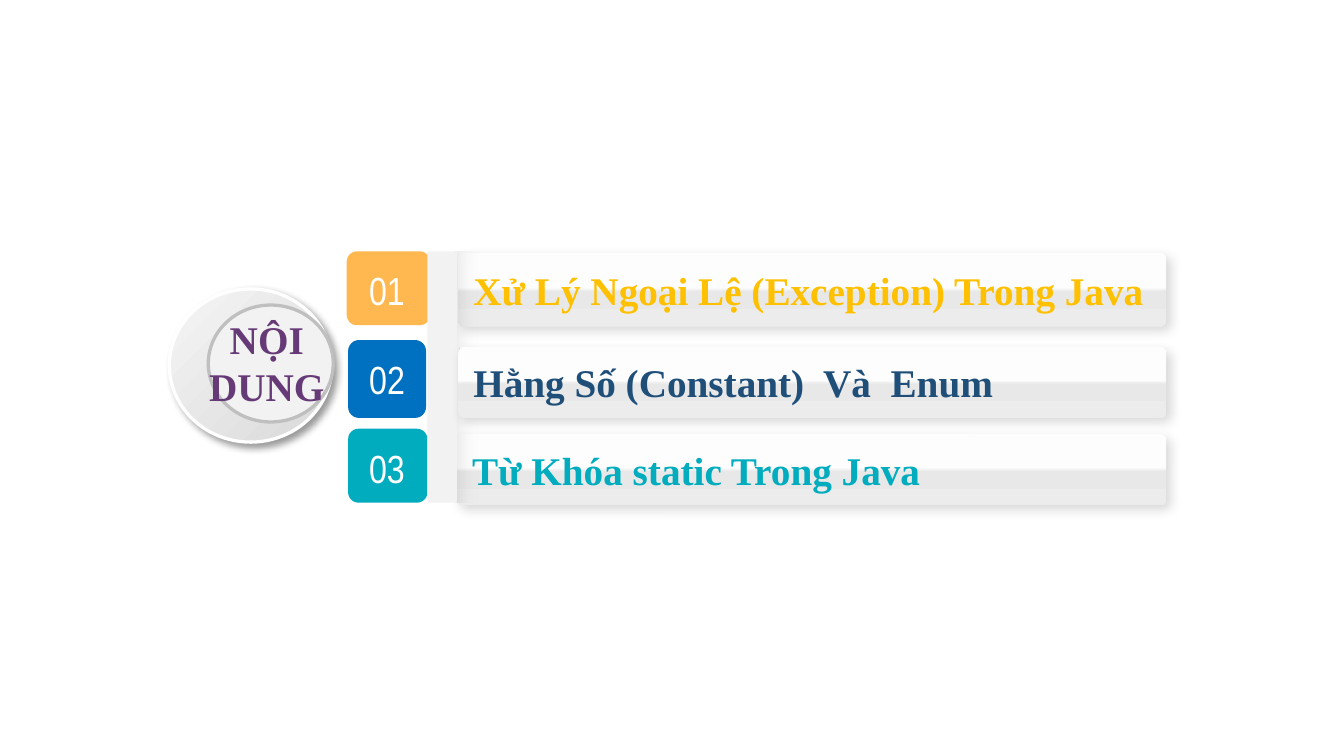
from lxml import etree
from pptx import Presentation
from pptx import util as u
from pptx.dml.color import RGBColor
from pptx.enum import shapes, text
from pptx.oxml.ns import qn

KIND = shapes.MSO_SHAPE
CENTER, LEFT = text.PP_ALIGN.CENTER, text.PP_ALIGN.LEFT


def add_color(parent, color, alpha=100):
    node = etree.SubElement(parent, qn("a:srgbClr"), val=color)
    etree.SubElement(node, qn("a:alpha"), val=str(alpha * 1000))


def add_box(kind, at, fill=None, angle=0, line=None, shadow=None, adjust=None,
            label=None, align=CENTER, **font):
    """Add a shape, or a text box when kind is None; fill is a hex or gradient stops."""
    place = [u.Inches(value) for value in at]
    if kind is None:
        shape = slide.shapes.add_textbox(*place)
    else:
        shape = slide.shapes.add_shape(kind, *place)
        shape.shadow.inherit = False
        if adjust is not None:
            shape.adjustments[0] = adjust
        if isinstance(fill, str):
            shape.fill.solid()
            shape.fill.fore_color.rgb = RGBColor.from_string(fill)
        else:
            shape.fill.gradient()
            shape.fill.gradient_angle = -angle % 360
            stops = shape._element.spPr.find(".//" + qn("a:gsLst"))
            stops[:] = []
            for position, *color in fill:
                add_color(etree.SubElement(stops, qn("a:gs"), pos=str(position * 1000)), *color)
        if line:
            shape.line.color.rgb = RGBColor.from_string(line)
            shape.line.width = u.Pt(1.75)
        else:
            shape.line.fill.background()
        if shadow:
            alpha, blur, distance = shadow
            effects = shape._element.spPr.find(qn("a:effectLst"))
            outer = etree.SubElement(effects, qn("a:outerShdw"), blurRad=str(u.Pt(blur)),
                                     dist=str(u.Pt(distance)), dir=str(45 * 60000),
                                     algn="tl", rotWithShape="0")
            add_color(outer, "000000", alpha)
    if label:
        frame = shape.text_frame
        frame.word_wrap = True
        frame.vertical_anchor = text.MSO_ANCHOR.MIDDLE if kind else text.MSO_ANCHOR.TOP
        paragraph = frame.paragraphs[0]
        paragraph.alignment = align
        run = paragraph.add_run()
        run.text = label
        run.font.color.rgb = RGBColor.from_string(font.pop("color"))
        for name, value in {"size": u.Pt(21), **font}.items():
            setattr(run.font, name, value)
    return shape


presentation = Presentation()
presentation.slide_width = u.Inches(10)
presentation.slide_height = u.Inches(10 * 9 / 16)
slide = presentation.slides.add_slide(presentation.slide_layouts[6])

TITLE = {"name": "Times New Roman", "bold": True}
NUMBER = {"name": "Arial Narrow", "color": "FFFFFF"}
BAR = {"fill": [(0, "FDFDFD"), (47, "FDFDFD"), (53, "E8E8E8"), (100, "ECECEC")],
       "angle": 90, "shadow": (14, 6, 3), "adjust": 0.09, "align": LEFT, **TITLE}

# Round heading
add_box(KIND.OVAL, (1.26, 2.15, 1.21, 1.14), [(0, "F5F5F5"), (100, "D9D9D9")],
        angle=45, line="FFFFFF", shadow=(40, 4, 3))
add_box(KIND.OVAL, (1.55, 2.27, 0.93, 0.87), "F2F2F2", line="BFBFBF")
add_box(None, (1.38, 2.3, 1.21, 0.81), label="NỘI DUNG", color="663A77", **TITLE)

# Number tabs 01 and 03, each on a white backing
for number, color, backing, tab, top in [
    ("01", "FFB850", (2.61, 1.85, 0.63, 0.59), (2.58, 1.87, 0.62, 0.55), 1.93),
    ("03", "01ACBE", (2.63, 3.2, 0.6, 0.58), (2.59, 3.19, 0.59, 0.55), 3.26),
]:
    add_box(KIND.ROUNDED_RECTANGLE, backing, "FFFFFF", adjust=0.14)
    add_box(KIND.ROUNDED_RECTANGLE, tab, color, adjust=0.14)
    add_box(None, (2.58, top, 0.6, 0.45), label=number, **NUMBER)

# Bars 01 and 03
for at, label, color in [
    ((3.41, 1.88, 5.27, 0.55), "Xử Lý Ngoại Lệ (Exception) Trong Java", "FFC000"),
    ((3.4, 3.23, 5.28, 0.53), "Từ Khóa static Trong Java", "01ACBE"),
]:
    add_box(KIND.ROUNDED_RECTANGLE, at, label=label, color=color, **BAR)

# Vertical strip with its soft shade
add_box(KIND.RECTANGLE, (3.39, 1.87, 0.17, 1.87), [(0, "000000", 8), (100, "F2F2F2", 0)])
add_box(KIND.RECTANGLE, (3.18, 1.87, 0.22, 1.87), "F2F2F2")
shade = add_box(KIND.TRAPEZOID, (3.26, 2.75, 0.49, 0.17),
                [(0, "F2F2F2", 0), (100, "000000", 21)], angle=90, adjust=1.74)
shade.rotation = 90

# Tab and bar 02, in front of the strip
add_box(KIND.ROUNDED_RECTANGLE, (2.59, 2.53, 0.58, 0.58), "0070C0", adjust=0.14,
        label="02", **NUMBER)
add_box(KIND.ROUNDED_RECTANGLE, (3.41, 2.58, 5.27, 0.53),
        label="Hằng Số (Constant)  Và  Enum", color="1F4E79", **BAR)

presentation.save("out.pptx")
